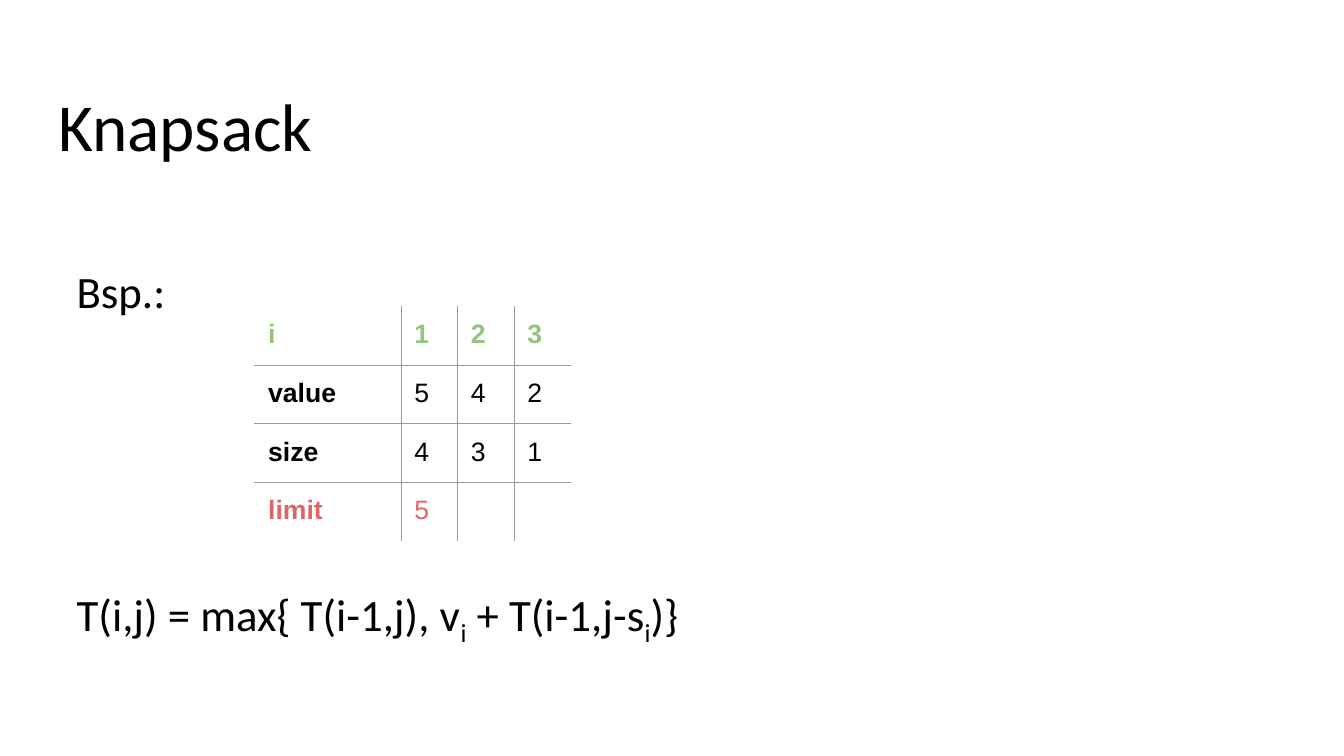
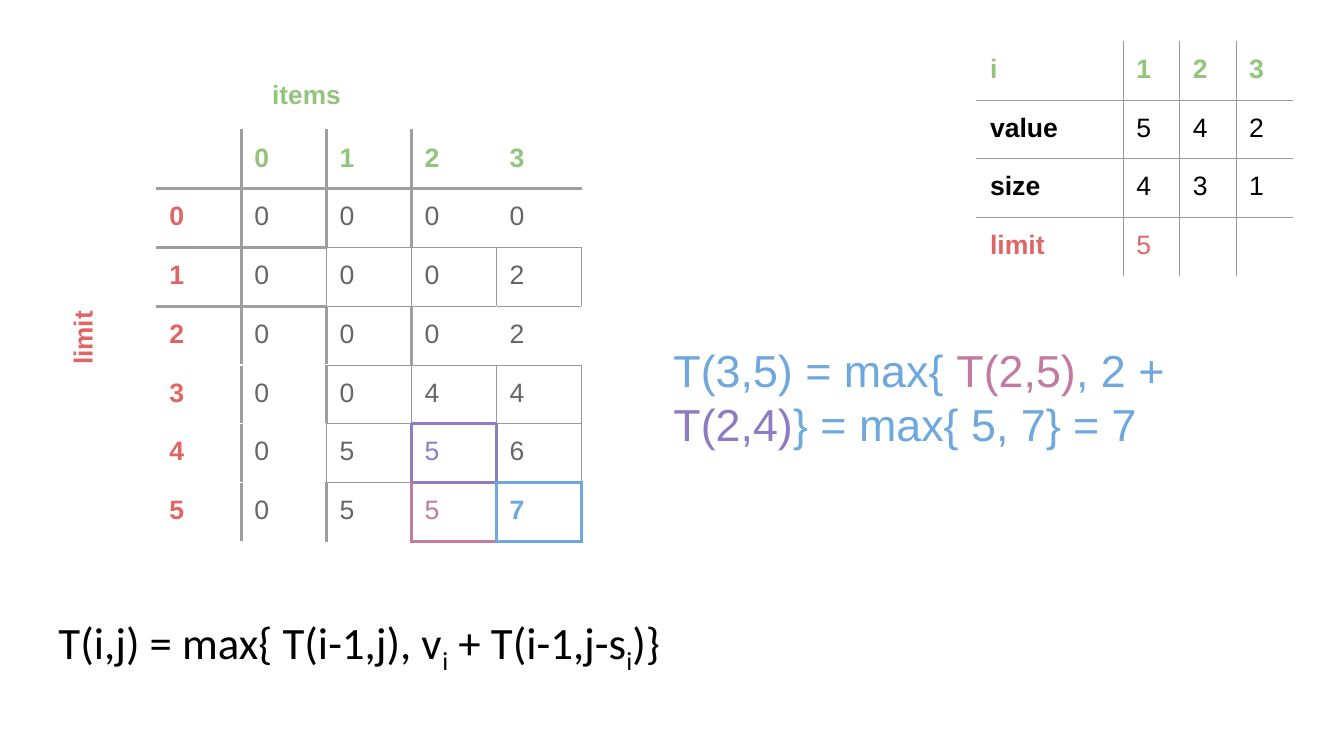
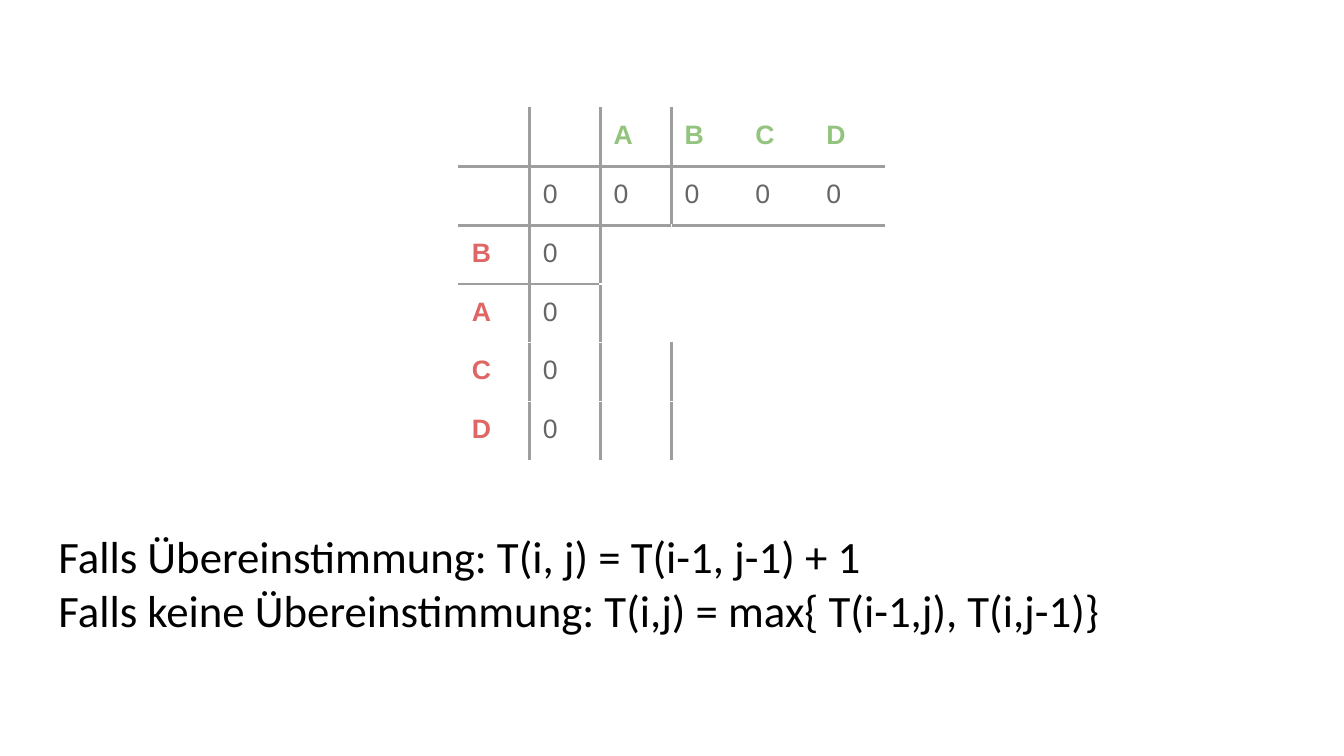
from dataclasses import dataclass

from lxml.etree import SubElement
from pptx import Presentation
from pptx.dml.color import RGBColor
from pptx.enum.text import MSO_ANCHOR as Anchor
from pptx.oxml.ns import qn
from pptx.util import Inches, Pt


@dataclass(frozen=True)
class Theme:
    """Colours, fonts, type sizes and measures shared by the slides."""
    black: str = "000000"
    green: str = "93C47D"
    red: str = "E06666"
    gray: str = "666666"
    blue: str = "6FA8DC"
    pink: str = "C27BA0"
    purple: str = "8E7CC3"
    thin_line: str = "999999"
    thick_line: str = "9E9E9E"
    heading_font: str = "Calibri"
    table_font: str = "Arial"
    title_size: float = 48
    body_size: float = 32
    cell_size: float = 19
    label_size: float = 18.7
    thin: float = 0.75
    thick: float = 2.25
    inset: float = 0.13
    left: float = 0.45
    text_width: float = 12.42
    row_height: float = 0.583


THEME = Theme()
WIDTH, HEIGHT = 13.33, 7.5
THIN = (THEME.thin_line, THEME.thin)
THICK = (THEME.thick_line, THEME.thick)
PURPLE, PINK, BLUE = ((colour, THEME.thick)
                      for colour in (THEME.purple, THEME.pink, THEME.blue))

# Content. A paragraph is a list of (text, format) runs.
SUBSCRIPT = {"baseline": -25}
RECURRENCE = [("T(i,j) = max{ T(i-1,j), v", {}), ("i", SUBSCRIPT),
              (" + T(i-1,j-s", {}), ("i", SUBSCRIPT), (")}", {})]
LAST_STEP = [("T(3,5) = max{ ", {}), ("T(2,5)", {"colour": THEME.pink}),
             (", 2 + ", {}), ("T(2,4)", {"colour": THEME.purple}),
             ("} = max{ 5, 7} = 7", {})]
MATCH_RULES = [
    [("Falls Übereinstimmung: T(i, j) = T(i-1, j-1) + 1", {})],
    [("Falls keine Übereinstimmung: T(i,j) = max{ T(i-1,j), T(i,j-1)}", {})],
]

ITEM_ROWS = [("i", "1", "2", "3"), ("value", "5", "4", "2"),
             ("size", "4", "3", "1"), ("limit", "5", "", "")]
ITEM_COLUMNS = [1.45, 0.56, 0.56, 0.56]
KNAPSACK_ROWS = [("", "0", "1", "2", "3"), "00000", "10002", "20002",
                 "30044", "40556", "50557"]
KNAPSACK_ACCENTS = {(5, 3): {"colour": THEME.purple},
                    (6, 3): {"colour": THEME.pink},
                    (6, 4): {"colour": THEME.blue, "bold": True}}
SEQUENCE_ROWS = [("", "", *"ABCD"), ("", *"00000")] + [
    (letter, "0", "", "", "", "") for letter in "BACD"]

# Rules: (direction, grid line, first cell, end cell, style).
ITEM_RULES = [(direction, line, 0, 4, THIN)
              for direction in "hv" for line in (1, 2, 3)]
KNAPSACK_RULES = [
    ("h", 1, 0, 5, THICK), ("h", 2, 0, 2, THICK), ("v", 1, 0, 7, THICK),
    ("v", 2, 0, 7, THICK), ("v", 2, 2, 3, THIN), ("v", 2, 5, 6, THIN),
    *[("h", line, 2, 5, THIN) for line in (2, 3, 4, 5)],
    ("h", 6, 2, 3, THIN),
    *[("v", line, row, row + 1, THIN)
      for line in (3, 4, 5) for row in (2, 4)],
    ("v", 5, 5, 6, THIN),
    ("h", 5, 3, 4, PURPLE), ("h", 6, 3, 4, PURPLE),
    ("v", 3, 5, 6, PURPLE), ("v", 4, 5, 6, PURPLE),
    ("v", 3, 6, 7, PINK), ("h", 7, 3, 4, PINK),
    ("h", 6, 4, 5, BLUE), ("h", 7, 4, 5, BLUE),
    ("v", 4, 6, 7, BLUE), ("v", 5, 6, 7, BLUE),
]
SEQUENCE_RULES = [("h", 1, 0, 6, THICK), ("h", 2, 0, 2, THICK),
                  ("v", 1, 0, 6, THICK), ("v", 2, 0, 2, THICK),
                  ("v", 2, 4, 6, THICK)]


def add_run(paragraph, text, font=THEME.heading_font, size=THEME.body_size,
            colour=THEME.black, bold=False, baseline=0):
    """Append one formatted run."""
    run = paragraph.add_run()
    run.text = text
    run.font.name = font
    run.font.size = Pt(size)
    run.font.bold = bold
    run.font.color.rgb = RGBColor.from_string(colour)
    if baseline:
        run._r.get_or_add_rPr().set("baseline", str(baseline * 1000))


def add_text(slide, box, paragraphs, anchor=Anchor.TOP, rotation=0, gap=0,
             **style):
    """Place a text box; gap is the space in points between paragraphs."""
    shape = slide.shapes.add_textbox(*map(Inches, box))
    shape.rotation = rotation
    frame = shape.text_frame
    frame.word_wrap = True
    frame.vertical_anchor = anchor
    frame.margin_left = frame.margin_right = Inches(THEME.inset)
    frame.margin_top = frame.margin_bottom = Inches(THEME.inset)
    for index, runs in enumerate(paragraphs):
        paragraph = frame.add_paragraph() if index else frame.paragraphs[0]
        paragraph.space_before = Pt(gap if index else 0)
        for text, changes in runs:
            add_run(paragraph, text, **{**style, **changes})
    return shape


def set_border(cell, side, style):
    """Draw one side (L, R, T or B) of a cell."""
    colour, width = style
    properties = cell._tc.get_or_add_tcPr()
    tag = qn(f"a:ln{side}")
    for old in properties.findall(tag):
        properties.remove(old)
    line = SubElement(properties, tag, w=str(Pt(width)))
    fill = SubElement(line, qn("a:solidFill"))
    SubElement(fill, qn("a:srgbClr"), val=colour)


def draw_rule(table, direction, line, start, end, style):
    """Draw a stretch of a grid line on the cells at both sides of it."""
    before, after = ("B", "T") if direction == "h" else ("R", "L")
    count = len(table.rows if direction == "h" else table.columns)
    for along in range(start, end):
        for across, side in ((line - 1, before), (line, after)):
            if across < count:
                place = ((across, along) if direction == "h"
                         else (along, across))
                set_border(table.cell(*place), side, style)


def finish_cell(cell):
    """Put borders in schema order and leave the cell unfilled."""
    properties = cell._tc.get_or_add_tcPr()
    order = [qn(f"a:ln{side}") for side in "LRTB"]
    properties[:] = sorted(properties, key=lambda part: order.index(part.tag))
    cell.fill.background()


def add_grid(slide, left, top, rows, columns, rules, cell_style):
    """Add a table whose text format comes from cell_style(row, column)."""
    frame = slide.shapes.add_table(
        len(rows), len(columns), Inches(left), Inches(top),
        Inches(sum(columns)), Inches(THEME.row_height * len(rows)))
    table = frame.table
    table.first_row = table.horz_banding = False
    for column, width in zip(table.columns, columns):
        column.width = Inches(width)
    for row_index, texts in enumerate(rows):
        table.rows[row_index].height = Inches(THEME.row_height)
        for column_index, text in enumerate(texts):
            cell = table.cell(row_index, column_index)
            cell.margin_left = cell.margin_right = Inches(THEME.inset)
            cell.margin_top = cell.margin_bottom = Inches(THEME.inset)
            if text:
                add_run(cell.text_frame.paragraphs[0], text,
                        font=THEME.table_font, size=THEME.cell_size,
                        **cell_style(row_index, column_index))
    for rule in rules:
        draw_rule(table, *rule)
    for cell in table.iter_cells():
        finish_cell(cell)


def item_style(row, column):
    """Green index row, red limit row, bold names."""
    colours = (THEME.green, THEME.black, THEME.black, THEME.red)
    return {"colour": colours[row], "bold": row == 0 or column == 0}


def matrix_style(row, column):
    """Green header row, red header column, gray values."""
    if row and column:
        return {"colour": THEME.gray}
    return {"colour": THEME.red if row else THEME.green, "bold": True}


def knapsack_style(row, column):
    """Matrix format with the cells of the last step accented."""
    return KNAPSACK_ACCENTS.get((row, column)) or matrix_style(row, column)


def add_items(slide, left, top):
    """Add the table of items with value, size and limit."""
    add_grid(slide, left, top, ITEM_ROWS, ITEM_COLUMNS, ITEM_RULES, item_style)


def add_axis_label(slide, box, text, colour, rotation=0):
    """Name one axis of the matrix."""
    add_text(slide, box, [[(text, {})]], rotation=rotation, colour=colour,
             font=THEME.table_font, size=THEME.label_size, bold=True)


def build_example(slide):
    """Title, example items and recurrence."""
    add_text(slide, (THEME.left, 0.68, THEME.text_width, 1.09),
             [[("Knapsack", {})]], anchor=Anchor.BOTTOM, size=THEME.title_size)
    add_text(slide, (0.63, 2.49, THEME.text_width, 4.48),
             [[("Bsp.:", {})], RECURRENCE], gap=THEME.body_size * 6)
    add_items(slide, 2.53, 3.04)


def build_solution(slide):
    """Filled matrix with its last step."""
    add_text(slide, (THEME.left, 5.97, THEME.text_width, 0.84), [RECURRENCE])
    add_items(slide, 9.69, 0.41)
    add_axis_label(slide, (0.39, 2.98, 0.91, 0.63), "limit", THEME.red, 270)
    add_text(slide, (6.55, 3.27, 6.17, 2.37), [LAST_STEP],
             font=THEME.table_font, colour=THEME.blue)
    add_grid(slide, 1.55, 1.29, KNAPSACK_ROWS, [4.22 / 5] * 5,
             KNAPSACK_RULES, knapsack_style)
    add_axis_label(slide, (2.57, 0.65, 3.01, 0.54), "items", THEME.green)


def build_sequences(slide):
    """Empty matrix of two sequences with the rules to fill it."""
    add_text(slide, (THEME.left, 5.12, THEME.text_width, 0.84), MATCH_RULES)
    add_grid(slide, 4.55, 1.07, SEQUENCE_ROWS, [4.22 / 6] * 6,
             SEQUENCE_RULES, matrix_style)


presentation = Presentation()
presentation.slide_width = Inches(WIDTH)
presentation.slide_height = Inches(HEIGHT)
for build in (build_example, build_solution, build_sequences):
    build(presentation.slides.add_slide(presentation.slide_layouts[6]))
presentation.save("out.pptx")
